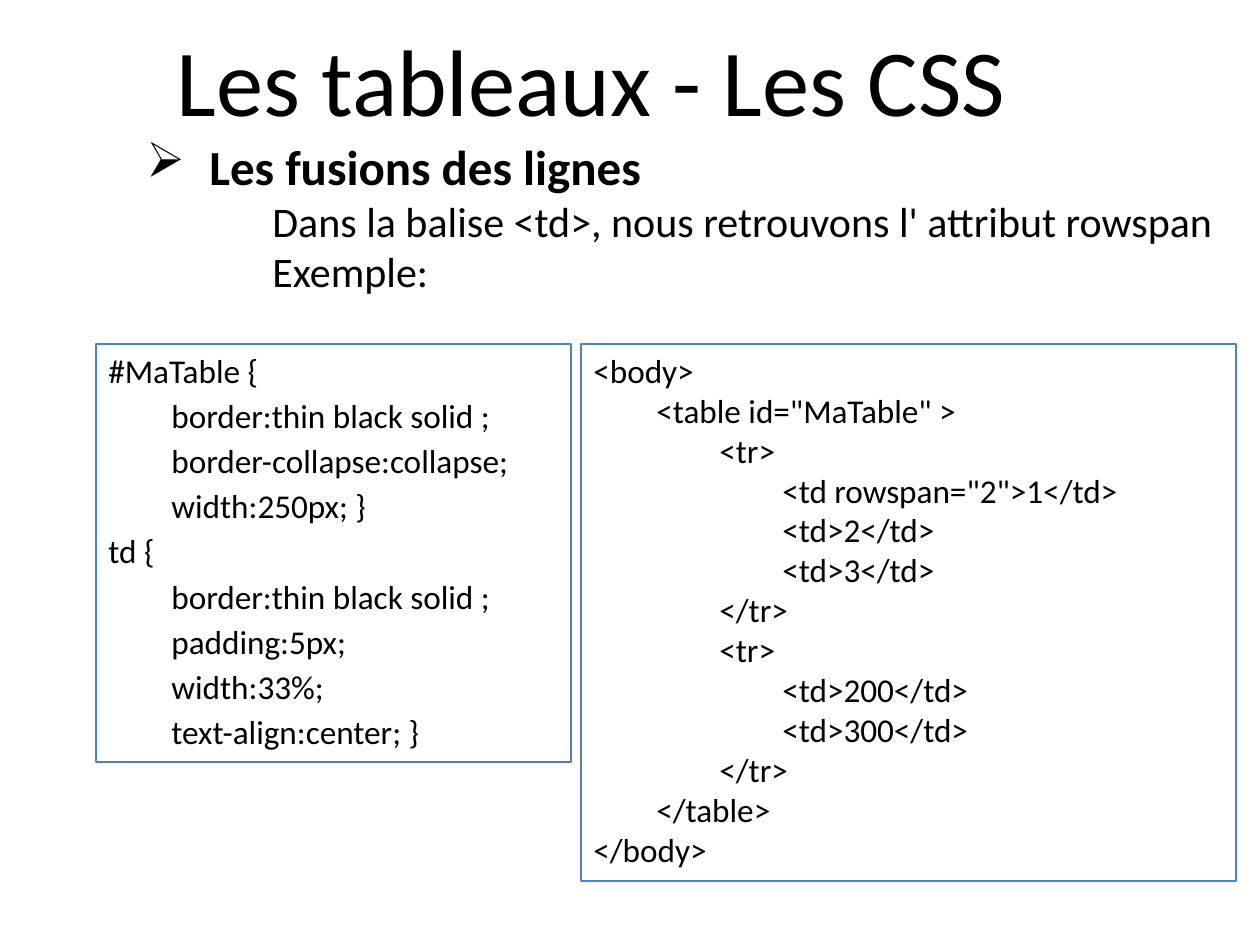
from dataclasses import dataclass

from lxml import etree
from pptx import Presentation
from pptx.dml.color import RGBColor
from pptx.enum.shapes import MSO_SHAPE
from pptx.enum.text import MSO_ANCHOR, MSO_AUTO_SIZE, PP_ALIGN
from pptx.oxml.ns import qn
from pptx.util import Emu, Pt

RECTANGLE = MSO_SHAPE.RECTANGLE
TOP = MSO_ANCHOR.TOP
NO_AUTOFIT = MSO_AUTO_SIZE.NONE
LEFT = PP_ALIGN.LEFT
PX = 914400 / 126
INDENT = 63


@dataclass(frozen=True)
class Theme:
    font: str = "Calibri"
    ink: RGBColor = RGBColor(0, 0, 0)
    border: RGBColor = RGBColor(0x4F, 0x81, 0xBD)
    title: int = 54
    heading: int = 28
    body: int = 24
    code: int = 19


THEME = Theme()


def px(*lengths):
    return [Emu(round(length * PX)) for length in lengths]


def write(frame, lines, size, bold=False, bullet=None, space_before=0):
    frame.word_wrap = True
    frame.auto_size = NO_AUTOFIT
    frame.vertical_anchor = TOP
    for level, text in lines:
        first = not frame.paragraphs[0].runs
        paragraph = frame.paragraphs[0] if first else frame.add_paragraph()
        paragraph.alignment = LEFT
        paragraph.level = level
        paragraph.space_before = Pt(0 if first else space_before)
        margin, hanging = px(INDENT * (1 if bullet else level), -INDENT if bullet else 0)
        properties = paragraph._p.get_or_add_pPr()
        properties.set("marL", str(margin))
        properties.set("indent", str(hanging))
        if bullet:
            etree.SubElement(properties, qn("a:buChar"), char=bullet)
        run = paragraph.add_run()
        run.text = text
        run.font.name = THEME.font
        run.font.size = Pt(size)
        run.font.bold = bold
        run.font.color.rgb = THEME.ink


prs = Presentation()
prs.slide_width, prs.slide_height = px(1260, 945)
slide = prs.slides.add_slide(prs.slide_layouts[5])

title = slide.shapes.title
title.left, title.top, title.width, title.height = px(164, 16, 983, 127)
write(title.text_frame, [(0, "Les tableaux - Les CSS")], size=THEME.title)

explanation = slide.shapes.add_textbox(*px(134, 130, 1101, 174)).text_frame
write(explanation, [(0, "Les fusions des lignes")], size=THEME.heading, bold=True, bullet="➢")
write(
    explanation,
    [(2, "Dans la balise <td>, nous retrouvons l' attribut rowspan"), (2, "Exemple:")],
    size=THEME.body,
)

css_rules = [
    (0, "#MaTable {"),
    (1, "border:thin black solid ;"),
    (1, "border-collapse:collapse;"),
    (1, "width:250px; }"),
    (0, "td {"),
    (1, "border:thin black solid ;"),
    (1, "padding:5px;"),
    (1, "width:33%;"),
    (1, "text-align:center; }"),
]
html_markup = [
    (0, "<body>"),
    (1, '<table id="MaTable" >'),
    (2, "<tr>"),
    (3, '<td rowspan="2">1</td>'),
    (3, "<td>2</td>"),
    (3, "<td>3</td>"),
    (2, "</tr>"),
    (2, "<tr>"),
    (3, "<td>200</td>"),
    (3, "<td>300</td>"),
    (2, "</tr>"),
    (1, "</table>"),
    (0, "</body>"),
]

for code, left, width, height, spacing in [
    (css_rules, 96, 475, 418, 3),
    (html_markup, 581, 655, 537, 0),
]:
    listing = slide.shapes.add_shape(RECTANGLE, *px(left, 344, width, height))
    listing.shadow.inherit = False
    listing.fill.background()
    listing.line.color.rgb = THEME.border
    listing.line.width = Pt(0.75)
    write(listing.text_frame, code, size=THEME.code, space_before=spacing)

prs.save("out.pptx")
